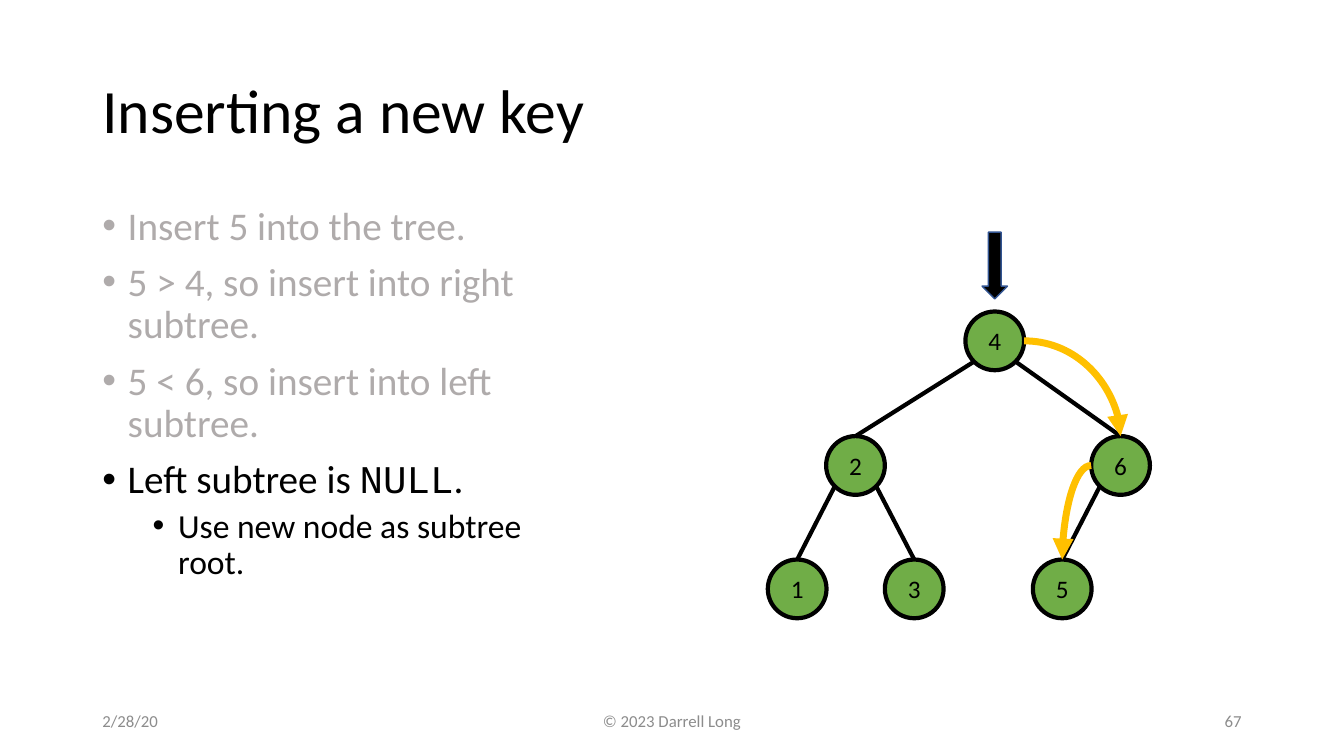
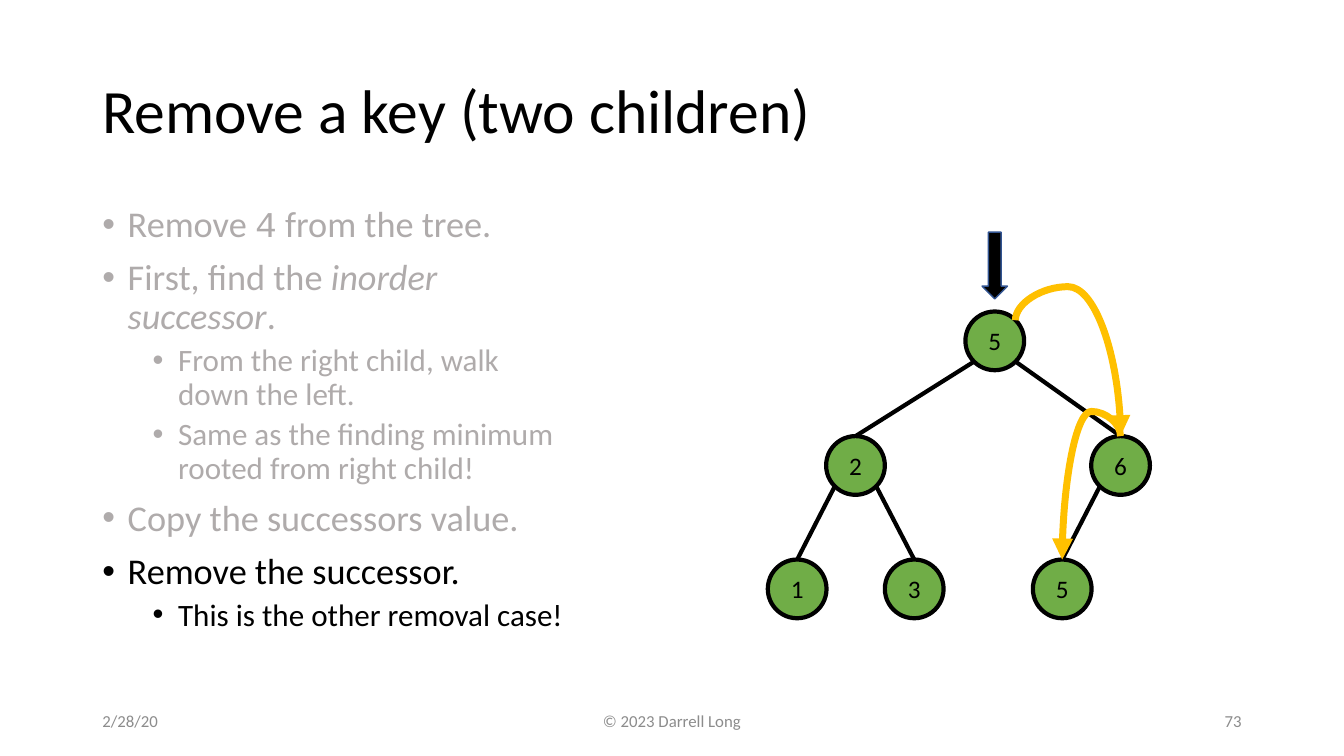
from lxml import etree
from pptx import Presentation
from pptx.dml.color import RGBColor
from pptx.enum.shapes import MSO_CONNECTOR as LINK, MSO_SHAPE as SHAPE
from pptx.enum.text import MSO_ANCHOR as ANCHOR, PP_ALIGN as ALIGN
from pptx.oxml.ns import qn
from pptx.util import Cm, Pt

BLACK, FADED, FOOTER = "000000", "AFABAB", "8C8C8C"
GREEN, GOLD, ARROW_EDGE = "70AD47", "FFC000", "325491"
TEXT_FONT, CODE_FONT = "Calibri", "Courier New"
CODE, ITALIC = {"name": CODE_FONT}, {"italic": True}
paint = RGBColor.from_string


def write(box, paragraphs, align=ALIGN.LEFT, anchor=ANCHOR.MIDDLE, spacing=1.0):
    frame = box.text_frame
    frame.word_wrap = True
    frame.vertical_anchor = anchor
    for index, (spans, size, color, level) in enumerate(paragraphs):
        para = frame.add_paragraph() if index else frame.paragraphs[0]
        layout = {"alignment": align, "line_spacing": spacing, "level": level or 0}
        if index:
            layout["space_before"] = Pt(5 if level else 10)
        for name, value in layout.items():
            setattr(para, name, value)
        if level is not None:
            properties = para._p.get_or_add_pPr()
            properties.set("marL", str(Cm(0.64 + 1.27 * level)))
            properties.set("indent", str(-Cm(0.64)))
            etree.SubElement(properties, qn("a:buFont"), typeface="Arial")
            etree.SubElement(properties, qn("a:buChar"), char="•")
        for text, style in spans:
            span = para.add_run()
            span.text = text
            span.font.color.rgb = paint(color)
            for name, value in {"name": TEXT_FONT, "size": Pt(size), **style}.items():
                setattr(span.font, name, value)


def add_link(page, start, end, color=BLACK, width=3, kind=LINK.STRAIGHT):
    link = page.shapes.add_connector(kind, *(Cm(value) for value in (*start, *end)))
    link.line.color.rgb = paint(color)
    link.line.width = Pt(width)
    etree.SubElement(link._element.spPr, qn("a:effectLst"))
    return link


RADIUS, CORNER = 0.74, 0.52
NODES = {
    "root": (25.07, 8.59),
    "left": (21.56, 11.73),
    "right": (28.24, 11.73),
    "left.left": (20.09, 14.84),
    "left.right": (23.04, 14.84),
    "right.left": (26.77, 14.84),
}
BRANCHES = [
    ("root", "left"),
    ("root", "right"),
    ("left", "left.left"),
    ("left", "left.right"),
    ("right", "right.left"),
]
TOPS = {name: (x, y - RADIUS) for name, (x, y) in NODES.items()}
root_x, root_y = NODES["root"]
right_x, right_y = NODES["right"]

SLIDES = [
    {
        "title": "Inserting a new key",
        "number": "67",
        "keys": "426135",
        "width": 12.57,
        "sizes": (28, 24),
        "points": [
            (0, FADED, [("Insert 5 into the tree.", {})]),
            (0, FADED, [("5 > 4, so insert into right subtree.", {})]),
            (0, FADED, [("5 < 6, so insert into left subtree.", {})]),
            (0, BLACK, [("Left subtree is ", {}), ("NULL", CODE), (".", {})]),
            (1, BLACK, [("Use new node as subtree root.", {})]),
        ],
        "moves": [
            ((root_x + RADIUS, root_y), TOPS["right"], None),
            ((right_x - RADIUS, right_y), TOPS["right.left"], None),
        ],
    },
    {
        "title": "Remove a key (two children)",
        "number": "73",
        "keys": "526135",
        "width": 12.17,
        "sizes": (25.9, 22.2),
        "points": [
            (0, FADED, [("Remove ", {}), ("4", CODE), (" from the tree.", {})]),
            (0, FADED, [("First, find the ", {}), ("inorder successor", ITALIC), (".", {})]),
            (1, FADED, [("From the right child, walk down the left.", {})]),
            (1, FADED, [("Same as the finding minimum rooted from right child!", {})]),
            (0, FADED, [("Copy the successors value.", {})]),
            (0, BLACK, [("Remove the successor.", {})]),
            (1, BLACK, [("This is the other removal case!", {})]),
        ],
        "moves": [
            ((root_x + CORNER, root_y - CORNER), TOPS["right"], -0.29),
            (TOPS["right"], TOPS["right.left"], -0.2),
        ],
    },
]

deck = Presentation()
deck.slide_width, deck.slide_height = Cm(33.87), Cm(19.05)

for slide in SLIDES:
    page = deck.slides.add_slide(deck.slide_layouts[6])

    title = page.shapes.add_textbox(Cm(2.33), Cm(1.01), Cm(29.21), Cm(3.68))
    write(title, [([(slide["title"], {})], 44, BLACK, None)], spacing=0.9)

    body = page.shapes.add_textbox(Cm(2.33), Cm(5.07), Cm(slide["width"]), Cm(12.09))
    points = [
        (spans, slide["sizes"][level], color, level)
        for level, color, spans in slide["points"]
    ]
    write(body, points, anchor=ANCHOR.TOP, spacing=0.9)

    for (x, y), key in zip(NODES.values(), slide["keys"]):
        node = page.shapes.add_shape(
            SHAPE.OVAL, Cm(x - RADIUS), Cm(y - RADIUS), Cm(2 * RADIUS), Cm(2 * RADIUS)
        )
        node.shadow.inherit = False
        node.fill.solid()
        node.fill.fore_color.rgb = paint(GREEN)
        node.line.color.rgb = paint(BLACK)
        node.line.width = Pt(3)
        write(node, [([(key, {})], 18, BLACK, None)], ALIGN.CENTER)

    for parent, child in BRANCHES:
        x, y = NODES[parent]
        side = CORNER if NODES[child][0] > x else -CORNER
        add_link(page, (x + side, y + CORNER), TOPS[child])

    pointer = page.shapes.add_shape(
        SHAPE.DOWN_ARROW, Cm(root_x - 0.32), Cm(5.85), Cm(0.64), Cm(1.68)
    )
    pointer.shadow.inherit = False
    pointer.fill.solid()
    pointer.fill.fore_color.rgb = paint(BLACK)
    pointer.line.color.rgb = paint(ARROW_EDGE)
    pointer.line.width = Pt(1)

    for start, end, bend in slide["moves"]:
        if bend is not None:
            middle_x, middle_y = (start[0] + end[0]) / 2, (start[1] + end[1]) / 2
            half_x, half_y = (end[0] - start[0]) / 2, (end[1] - start[1]) / 2
            start = middle_x + half_y, middle_y - half_x
            end = middle_x - half_y, middle_y + half_x
        move = add_link(page, start, end, GOLD, 5, LINK.CURVE)
        etree.SubElement(move.line._get_or_add_ln(), qn("a:tailEnd"), type="triangle")
        geometry = move._element.spPr.find(qn("a:prstGeom"))
        if bend is None:
            geometry.set("prst", "curvedConnector2")
        else:
            move._element.spPr.find(qn("a:xfrm")).set("rot", str(270 * 60000))
            guides = geometry.find(qn("a:avLst"))
            formula = f"val {round(bend * 100000)}"
            etree.SubElement(guides, qn("a:gd"), name="adj1", fmla=formula)

    for text, left, width, align in [
        ("2/28/20", 2.33, 7.62, ALIGN.LEFT),
        ("© 2023 Darrell Long", 11.22, 11.43, ALIGN.CENTER),
        (slide["number"], 23.92, 7.62, ALIGN.RIGHT),
    ]:
        footer = page.shapes.add_textbox(Cm(left), Cm(17.66), Cm(width), Cm(1.01))
        write(footer, [([(text, {})], 12, FOOTER, None)], align)

deck.save("out.pptx")
